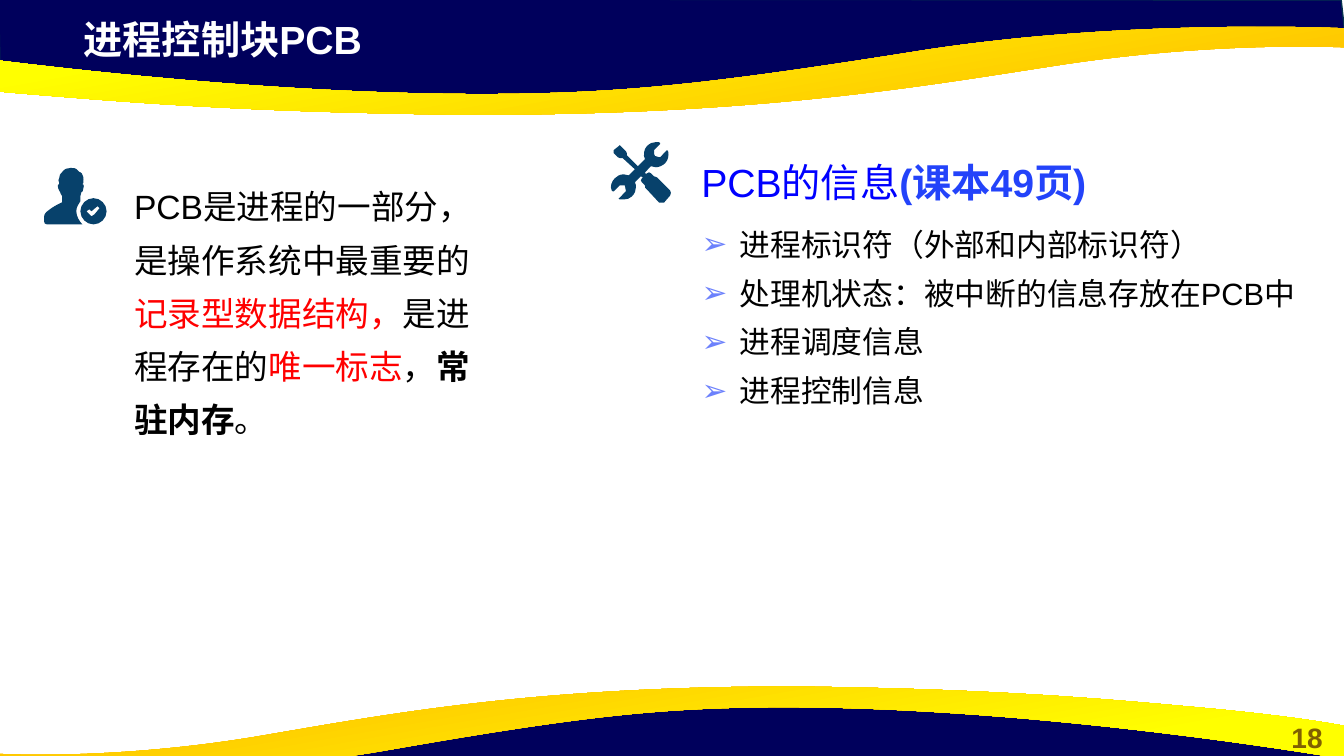
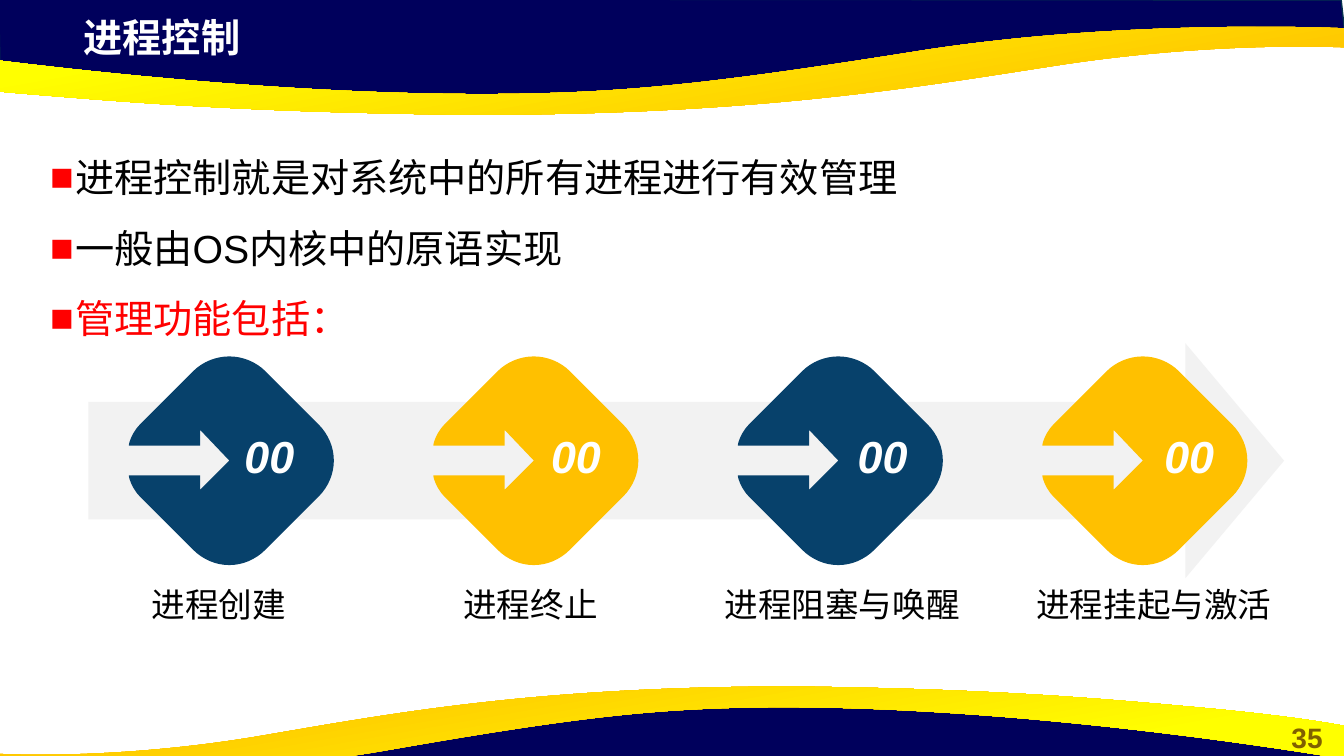
from dataclasses import dataclass

from lxml.etree import SubElement
from pptx import Presentation
from pptx.dml.color import RGBColor
from pptx.enum.shapes import MSO_SHAPE
from pptx.enum.text import MSO_ANCHOR, MSO_AUTO_SIZE, PP_ALIGN
from pptx.oxml.ns import qn
from pptx.util import Pt


@dataclass(frozen=True)
class Theme:
    font: str = "Arial"
    navy: str = "00005C"
    navy_edge: str = "05304F"
    gold: str = "FFC000"
    yellow: str = "FFFF00"
    teal: str = "07416B"
    pale: str = "F2F2F2"
    black: str = "000000"
    white: str = "FFFFFF"
    red: str = "FF0000"
    blue: str = "0000FF"
    page_blue: str = "2343FA"
    bullet_blue: str = "6C81FC"
    number: str = "806000"
    title_size: int = 28
    step_size: int = 32
    text_size: int = 24
    list_size: int = 22
    number_size: int = 20


THEME = Theme()
SLIDE_WIDTH, SLIDE_HEIGHT = 960, 540

# Outlines: a pair is a corner, six numbers are a Bézier curve
NAVY_BAND = [(-1, -1), (0, 50), (211, 73), (402, 72), (572, 63), (732, 36),
             (891, 24), (961, 27), (958, 0)]
GOLD_BAND = [
    (348, 82), (319, 82, 289, 81.4, 256, 80.6), (148, 77.8, 79, 72, 26, 67.7),
    (-63, 60.5, -94, 54, -96, 54), (-96, 30.2), (-96, 30.2, 157, 70.6, 372, 67),
    (451, 65.5, 510, 59.8, 659, 36), (807, 13, 960, 20.2, 960, 20.2),
    (960, 33.8), (958, 33.8), (940, 33.1, 860, 31, 760, 46),
    (661, 61.2, 549, 81.4, 348, 82)]
USER_ICON = [
    [(26, 0), (29, 0, 31, 0, 32, 1), (35, 4), (35, 4, 40, 4, 39, 15), (38, 16),
     (39, 16, 40, 17, 39, 20), (39, 23, 38, 24, 37, 24), (37, 25, 36, 27, 36, 28),
     (36, 33), (34, 36, 32, 39, 32, 43), (32, 48, 35, 53, 38, 56), (3, 56),
     (1, 56, 0, 55, 0, 53), (0, 48), (0, 47, 1, 45, 2, 44),
     (9, 38, 16, 35, 18, 34), (18, 28), (17, 27, 16, 25, 16, 24),
     (16, 24, 15, 23, 14, 20), (13, 17, 14, 16, 15, 16), (15, 15),
     (14, 13, 14, 11, 15, 10), (15, 7, 16, 6, 18, 4), (20, 1, 23, 0, 26, 0)],
    [(49, 30), (56, 30, 62, 36, 62, 43), (62, 50, 56, 56, 49, 56),
     (42, 56, 36, 50, 36, 43), (36, 36, 42, 30, 49, 30)],
    [(53, 38), (47, 43), (45, 41), (42, 43), (47, 48), (50, 46), (55, 40)]]
TOOLS_ICON = [
    [(60, 48), (47, 35), (44, 34), (41, 31), (39, 30), (37, 31), (36, 32),
     (35, 30), (41, 24), (43, 24, 44, 25, 46, 25), (49, 25, 53, 23, 55, 21),
     (58, 18, 59, 13, 58, 9), (57, 8), (56, 9), (50, 15), (49, 15),
     (47, 14, 45, 14, 45, 14), (44, 13, 44, 11, 44, 9), (44, 8), (50, 2),
     (50, 1), (49, 0), (46, 0), (43, 0, 40, 1, 37, 4), (34, 7, 33, 13, 35, 17),
     (28, 24), (17, 13), (17, 11), (17, 10, 16, 9, 15, 8), (11, 4), (10, 3),
     (9, 4), (4, 8), (4, 11), (8, 15), (9, 16, 11, 16, 12, 16), (13, 16),
     (25, 27), (19, 33), (17, 33, 15, 32, 14, 32), (10, 32, 7, 34, 5, 36),
     (2, 39, 0, 44, 2, 48), (3, 49), (4, 49), (10, 43), (15, 43),
     (15, 44, 16, 46, 16, 48), (16, 49), (10, 55), (9, 56), (10, 57), (14, 57),
     (17, 57, 20, 56, 22, 54), (25, 51, 26, 48, 26, 45),
     (26, 43, 26, 41, 25, 40), (26, 39), (31, 34), (33, 35), (32, 36),
     (31, 37, 31, 37, 31, 38), (32, 40), (35, 43), (35, 45, 35, 46, 36, 46),
     (49, 60), (50, 60, 52, 60, 54, 60), (60, 53), (61, 52, 61, 49, 60, 48)]]
# Rounded square with an arrow cut out of one corner, turned to stand on its tip
STEP_DIAMOND = [
    [(15, 15), (24, 6, 37, 0, 51, 0), (125, 0), (154, 0, 176, 22, 176, 51),
     (176, 125), (176, 154, 154, 176, 125, 176), (51, 176),
     (44, 176, 37, 174, 31, 171), (28, 169), (78, 119), (88, 129), (88, 88),
     (46, 87), (57, 98), (7, 148), (5, 145), (2, 139, 0, 132, 0, 125), (0, 51),
     (0, 37, 6, 24, 15, 15)]]
ICON_SCALE = 0.72


def color(value):
    return RGBColor.from_string(value)


def add_outline(slide, contours, place):
    """Draw closed contours; place maps outline units to points on the slide."""
    def spot(pair):
        return tuple(Pt(value) for value in place(*pair))

    builder = None
    for contour in contours:
        corners = [spot(part[-2:]) for part in contour]
        if builder is None:
            builder = slide.shapes.build_freeform(*corners[0])
        else:
            builder.move_to(*corners[0])
        builder.add_line_segments(corners[1:], close=True)
    shape = builder.convert_to_shape()

    # Bend the segments that have control points
    parts = [part for contour in contours for part in contour[1:]]
    segments = list(shape.element.iter(qn("a:lnTo")))
    for part, segment in zip(parts, segments):
        if len(part) == 6:
            end = segment[0]
            segment.tag = qn("a:cubicBezTo")
            for pair in (part[:2], part[2:4]):
                x, y = spot(pair)
                control = SubElement(segment, qn("a:pt"))
                control.set("x", str(x - shape.left))
                control.set("y", str(y - shape.top))
            segment.append(end)
    shape.shadow.inherit = False
    shape.line.fill.background()
    return shape


def add_icon(slide, contours, left, top, fill):
    shape = add_outline(slide, contours,
                        lambda x, y: (left + x * ICON_SCALE, top + y * ICON_SCALE))
    shape.fill.solid()
    shape.fill.fore_color.rgb = color(fill)
    return shape


def set_box(shape, left, top, width, height, anchor=MSO_ANCHOR.TOP):
    shape.left, shape.top, shape.width, shape.height = map(Pt, (left, top, width, height))
    frame = shape.text_frame
    frame.word_wrap = True
    frame.auto_size = MSO_AUTO_SIZE.NONE
    frame.vertical_anchor = anchor
    return frame


def write(paragraph, runs, size, fill=THEME.black, bold=False, italic=False,
          align=PP_ALIGN.LEFT, spacing=1.0):
    """Fill a paragraph; each run is its text and the features that differ."""
    paragraph.alignment = align
    paragraph.line_spacing = spacing
    paragraph.space_before = Pt(0)
    font = paragraph.font
    font.name, font.size, font.bold, font.italic = THEME.font, Pt(size), bold, italic
    font.color.rgb = color(fill)
    for text, changes in runs:
        run = paragraph.add_run()
        run.text = text
        if "fill" in changes:
            run.font.color.rgb = color(changes["fill"])
        if "bold" in changes:
            run.font.bold = changes["bold"]


def add_text(slide, box, runs, size, anchor=MSO_ANCHOR.TOP, **style):
    shape = slide.shapes.add_textbox(0, 0, 0, 0)
    frame = set_box(shape, *box, anchor)
    write(frame.paragraphs[0], runs, size, **style)


def fill_list(slide, box, items, size, bullet, bullet_fill, indent, spacing):
    """Bulleted list in the body placeholder; items are (text, colour)."""
    frame = set_box(slide.placeholders[1], *box)
    for index, (text, fill) in enumerate(items):
        paragraph = frame.add_paragraph() if index else frame.paragraphs[0]
        paragraph.line_spacing = spacing
        paragraph.space_before = Pt(0)
        properties = paragraph._p.get_or_add_pPr()
        properties.set("marL", str(Pt(indent)))
        properties.set("indent", str(-Pt(indent)))
        bullet_color = SubElement(properties, qn("a:buClr"))
        SubElement(bullet_color, qn("a:srgbClr")).set("val", bullet_fill)
        SubElement(properties, qn("a:buChar")).set("char", bullet)
        write(paragraph, [(text, {})], size, fill, spacing=spacing)


def add_bands(slide, layout):
    """Draw the top and bottom waves and hand them to the layout."""
    def upright(x, y):
        return x, y

    def turned_navy(x, y):
        return 959 - x, 571 - y

    def turned_gold(x, y):
        return SLIDE_WIDTH - (x + 96) * SLIDE_WIDTH / 1056, 572.4 - y

    position = 2
    for navy_place, gold_place, angle in ((upright, upright, 100),
                                          (turned_navy, turned_gold, 280)):
        navy = add_outline(slide, [NAVY_BAND], navy_place)
        navy.fill.solid()
        navy.fill.fore_color.rgb = color(THEME.navy)
        navy.line.color.rgb = color(THEME.navy_edge)
        navy.line.width = Pt(1)
        gold = add_outline(slide, [GOLD_BAND], gold_place)
        gold.fill.gradient()
        gold.fill.gradient_angle = angle
        stops = ((0.11, THEME.gold), (0.78, THEME.yellow))
        for stop, (offset, fill) in zip(gold.fill.gradient_stops, stops):
            stop.position = offset
            stop.color.rgb = color(fill)
        for shape in (navy, gold):
            layout.shapes.element.insert(position, shape.element)
            position += 1


def add_page(presentation, layout, title, title_top, number):
    slide = presentation.slides.add_slide(layout)
    frame = set_box(slide.shapes.title, 52.5, title_top, 553, 41)
    write(frame.paragraphs[0], [(title, {})], THEME.title_size, THEME.white, bold=True)
    add_text(slide, (907.4, 510.8, 52.5, 31.5), [(number, {})], THEME.number_size,
             fill=THEME.number, bold=True, align=PP_ALIGN.CENTER)
    return slide


def add_definition(slide, left, top):
    """Person icon with the paragraph on its right."""
    red, plain = {"fill": THEME.red}, {}
    add_icon(slide, USER_ICON, left, top, THEME.teal)
    add_text(slide, (left + 57.2, top + 0.3, 269, 136), [
        ("PCB是进程的一部分，是操作系统中最重要的", plain),
        ("记录型数据结构，", red), ("是进程存在的", plain), ("唯一标志", red),
        ("，", plain), ("常驻内存", {"bold": True}), ("。", plain),
    ], THEME.text_size, spacing=1.32)


def add_contents(slide, left, top):
    """Tools icon with a heading and a list on its right."""
    add_icon(slide, TOOLS_ICON, left, top, THEME.teal)
    add_text(slide, (left + 58.4, top + 13, 393, 31), [
        ("PCB的信息", {}),
        ("(课本49页)", {"fill": THEME.page_blue, "bold": True}),
    ], THEME.title_size, MSO_ANCHOR.MIDDLE, fill=THEME.blue)
    items = ("进程标识符（外部和内部标识符）", "处理机状态：被中断的信息存放在PCB中",
             "进程调度信息", "进程控制信息")
    fill_list(slide, (left + 58.4, top + 47.7, 473, 148),
              [(item, THEME.black) for item in items],
              THEME.list_size, "➢", THEME.bullet_blue, 27.2, 1.32)


def add_process(slide, left, top, width, height):
    """Wide arrow with a numbered diamond and a label for each step."""
    arrow = slide.shapes.add_shape(MSO_SHAPE.RIGHT_ARROW,
                                   *map(Pt, (left, top, width, height)))
    arrow.adjustments[0], arrow.adjustments[1] = 0.5, 0.42
    arrow.shadow.inherit = False
    arrow.fill.solid()
    arrow.fill.fore_color.rgb = color(THEME.pale)
    arrow.line.fill.background()
    labels = ("进程创建", "进程终止", "进程阻塞与唤醒", "进程挂起与激活")
    label_width = 186
    label_step = (width - label_width) / (len(labels) - 1)
    for index in range(len(labels)):
        fill = (THEME.teal, THEME.gold)[index % 2]
        diamond = add_icon(slide, STEP_DIAMOND, left + 37.2 + 217.5 * index,
                           top + 20.4, fill)
        diamond.rotation = 45
    for index, label in enumerate(labels):
        add_text(slide, (left + label_step * index, top + height + 0.5, label_width, 31),
                 [(label, {})], THEME.text_size, align=PP_ALIGN.CENTER)
    for index in range(len(labels)):
        add_text(slide, (left + 101.5 + 219 * index, top + 53.5, 55.5, 53),
                 [("00", {})], THEME.step_size, MSO_ANCHOR.MIDDLE, fill=THEME.white,
                 bold=True, italic=True, align=PP_ALIGN.CENTER)


def main():
    presentation = Presentation()
    presentation.slide_width, presentation.slide_height = Pt(SLIDE_WIDTH), Pt(SLIDE_HEIGHT)
    layout = presentation.slide_layouts[1]

    # Process control block
    slide = add_page(presentation, layout, "进程控制块PCB", 7, "18")
    add_bands(slide, layout)
    add_definition(slide, 31.5, 120)
    add_contents(slide, 435.5, 101.5)

    # Process control
    slide = add_page(presentation, layout, "进程控制", 6, "35")
    fill_list(slide, (28.6, 89.2, 837, 126), [
        ("进程控制就是对系统中的所有进程进行有效管理", THEME.black),
        ("一般由OS内核中的原语实现", THEME.black),
        ("管理功能包括：", THEME.red),
    ], THEME.title_size, "■", THEME.red, 18, 1.5)
    add_process(slide, 63.2, 245.2, 854, 167.8)

    presentation.save("out.pptx")


if __name__ == "__main__":
    main()
